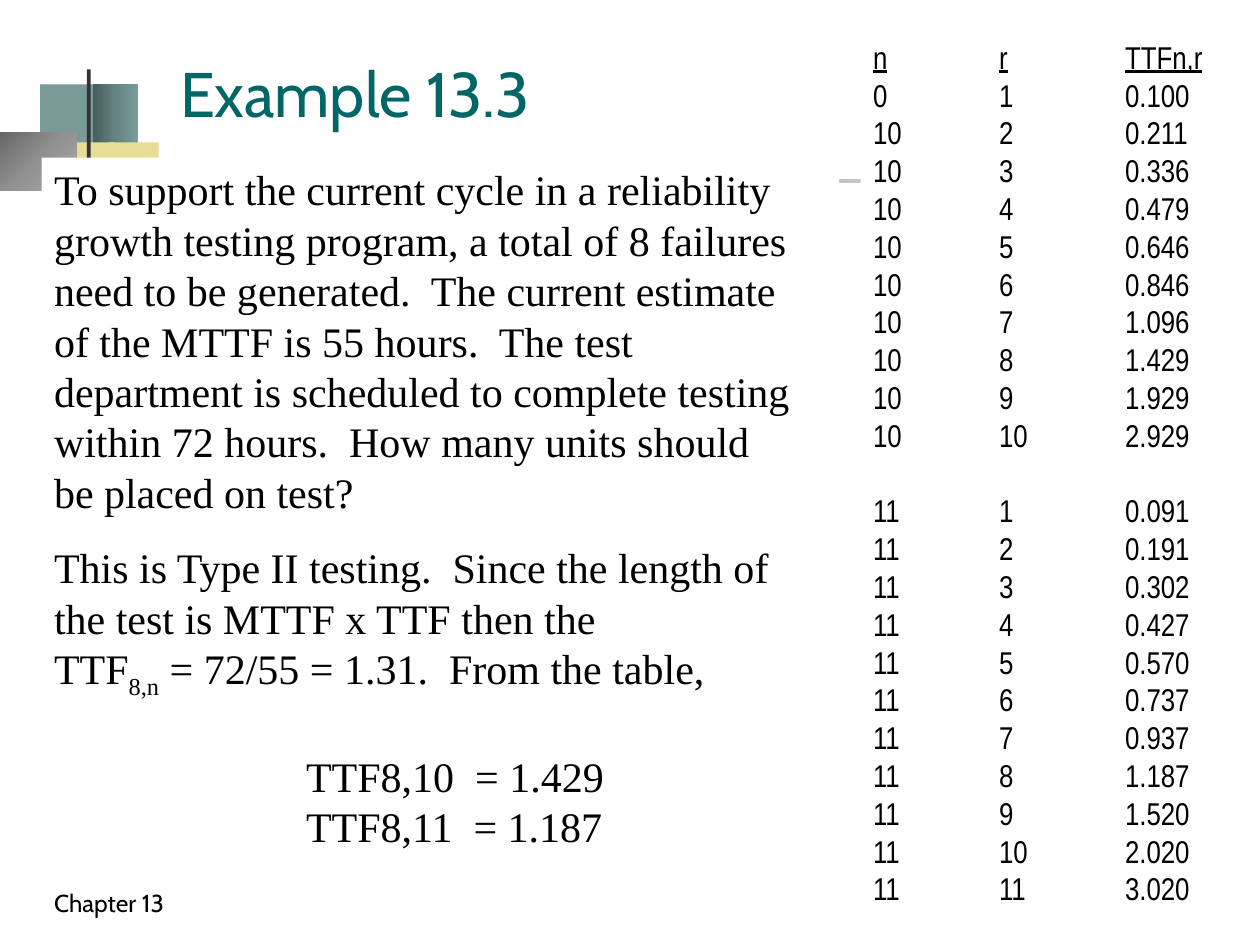
import pptx
import pptx.dml.color
import pptx.enum.shapes
import pptx.enum.text
import pptx.oxml
import pptx.oxml.ns
import pptx.util
from pptx.util import Cm

SERIF = {"font": "Times New Roman", "size": 24}
NARROW = {"font": "Arial Narrow", "size": 18}
QUESTION = [
    "To support the current cycle in a reliability",
    "growth testing program, a total of 8 failures",
    "need to be generated.  The current estimate",
    "of the MTTF is 55 hours.  The test",
    "department is scheduled to complete testing",
    "within 72 hours.  How many units should",
    "be placed on test?",
]
TTF = {
    10: "0.100 0.211 0.336 0.479 0.646 0.846 1.096 1.429 1.929 2.929",
    11: "0.091 0.191 0.302 0.427 0.570 0.737 0.937 1.187 1.520 2.020 3.020",
}


def color(value):
    return pptx.dml.color.RGBColor.from_string(value)


def add_gradient(sp, stops, direction):
    ns = pptx.oxml.ns.nsdecls("a")
    gs = "".join(
        f'<a:gs pos="{pos * 1000}"><a:srgbClr val="{value}"/></a:gs>'
        for pos, value in stops
    )
    sp.fill.background()
    props = sp._element.spPr
    grad = pptx.oxml.parse_xml(
        f"<a:gradFill {ns}><a:gsLst>{gs}</a:gsLst>{direction}</a:gradFill>"
    )
    props.replace(props.find(pptx.oxml.ns.qn("a:noFill")), grad)


def add_rect(s, x, y, w, h, fill=None):
    sp = s.shapes.add_shape(
        pptx.enum.shapes.MSO_SHAPE.RECTANGLE, Cm(x), Cm(y), Cm(w), Cm(h)
    )
    sp.shadow.inherit = False
    sp.line.fill.background()
    if fill:
        sp.fill.solid()
        sp.fill.fore_color.rgb = color(fill)
    return sp


def add_box(s, x, y, w, h, fill=None, wrap=True, bottom=False):
    if fill:
        sp = add_rect(s, x, y, w, h, fill)
    else:
        sp = s.shapes.add_textbox(Cm(x), Cm(y), Cm(w), Cm(h))
    tf = sp.text_frame
    tf.word_wrap = wrap
    anchor = pptx.enum.text.MSO_ANCHOR
    tf.vertical_anchor = anchor.BOTTOM if bottom else anchor.TOP
    return tf


def add_paragraph(tf, before=0, indent=0, tabs=()):
    p = tf.paragraphs[0]
    if p.runs:
        p = tf.add_paragraph()
    p.alignment = pptx.enum.text.PP_ALIGN.LEFT
    p.space_before = pptx.util.Pt(before)
    props = p._p.get_or_add_pPr()
    if indent:
        props.set("marL", str(Cm(indent)))
    if tabs:
        stops = "".join(f'<a:tab pos="{Cm(t)}" algn="l"/>' for t in tabs)
        ns = pptx.oxml.ns.nsdecls("a")
        props.append(pptx.oxml.parse_xml(f"<a:tabLst {ns}>{stops}</a:tabLst>"))
    return p


def add_text(p, text, font, size, fill="000000", underline=False, baseline=0):
    r = p.add_run()
    r.text = text
    r.font.name = font
    r.font.size = pptx.util.Pt(size)
    r.font.color.rgb = color(fill)
    r.font.underline = underline
    if baseline:
        r.font._element.set("baseline", str(baseline * 1000))


def add_ornament(s, x, y):
    across = '<a:lin ang="0" scaled="1"/>'
    corner = '<a:path path="circle"><a:fillToRect r="100000" b="100000"/></a:path>'
    add_rect(s, x + 0.81, y + 0.3, 1.22, 1.32, "7A9A98")
    teal = add_rect(s, x + 1.88, y + 0.3, 0.91, 1.32)
    add_gradient(teal, [(0, "475D5B"), (50, "658482"), (100, "789C9A")], across)
    add_rect(s, x + 1.14, y + 1.47, 1.17, 1.32, "E7DD95")
    add_rect(s, x + 2.18, y + 1.47, 1.02, 1.32, "E7DD95")
    gray = add_rect(s, x, y + 1.27, 1.55, 1.17)
    add_gradient(gray, [(0, "676767"), (50, "929292"), (100, "ADADAD")], corner)
    add_rect(s, x + 1.75, y, 0.08, 2.92, "333333")
    rule = add_rect(s, x + 0.89, y + 2.21, 22.86, 0.08)
    add_gradient(rule, [(0, "333333"), (100, "FFFFFF")], across)


def add_label(s, x, y, w, h, text, **fmt):
    tf = add_box(s, x, y, w, h, bottom=True)
    add_text(add_paragraph(tf), text, "Cabin", **fmt)


def add_question(s, x, y, w, h):
    tf = add_box(s, x, y, w, h, "FFFFFF")
    for line in QUESTION:
        add_text(add_paragraph(tf), line, **SERIF)


def add_solution(s, x, y, w, h):
    tf = add_box(s, x, y, w, h, wrap=False)
    for line in ("This is Type II testing.  Since the length of",
                 "the test is MTTF x TTF then the"):
        add_text(add_paragraph(tf), line, **SERIF)
    p = add_paragraph(tf)
    add_text(p, "TTF", **SERIF)
    add_text(p, "8,n", baseline=-25, **SERIF)
    add_text(p, " = 72/55 = 1.31.  From the table,", **SERIF)
    for line, before in (("TTF8,10  = 1.429", 28.8), ("TTF8,11  = 1.187", 0)):
        add_text(add_paragraph(tf, before, indent=5.08), line, **SERIF)


def add_ttf_list(s, x, y, w, h):
    tf = add_box(s, x, y, w, h, "FFFFFF", wrap=False)
    tabs = (2.54, 5.08)
    add_text(add_paragraph(tf, tabs=tabs), "n\tr\tTTFn,r", underline=True, **NARROW)
    for n, values in TTF.items():
        for r, value in enumerate(values.split(), 1):
            first = r == 1
            units = 0 if first and n == 10 else n
            p = add_paragraph(tf, 21.6 if first and n == 11 else 0, tabs=tabs)
            add_text(p, f"{units}\t{r}\t{value}", **NARROW)


def main():
    prs = pptx.Presentation()
    prs.slide_width, prs.slide_height = Cm(25.4), Cm(19.05)
    s = prs.slides.add_slide(prs.slide_layouts[6])
    add_ornament(s, 0, 1.4)
    add_label(s, 3.38, 1.27, 14.4, 1.47, "Example 13.3", size=36, fill="006666")
    add_label(s, 0.84, 17.35, 5.28, 1.27, "Chapter 13", size=14)
    add_question(s, 0.84, 3.18, 16.08, 8.46)
    add_solution(s, 0.84, 10.8, 15.21, 6.38)
    add_ttf_list(s, 17.35, 0.64, 7.21, 17.83)
    prs.save("out.pptx")


if __name__ == "__main__":
    main()
